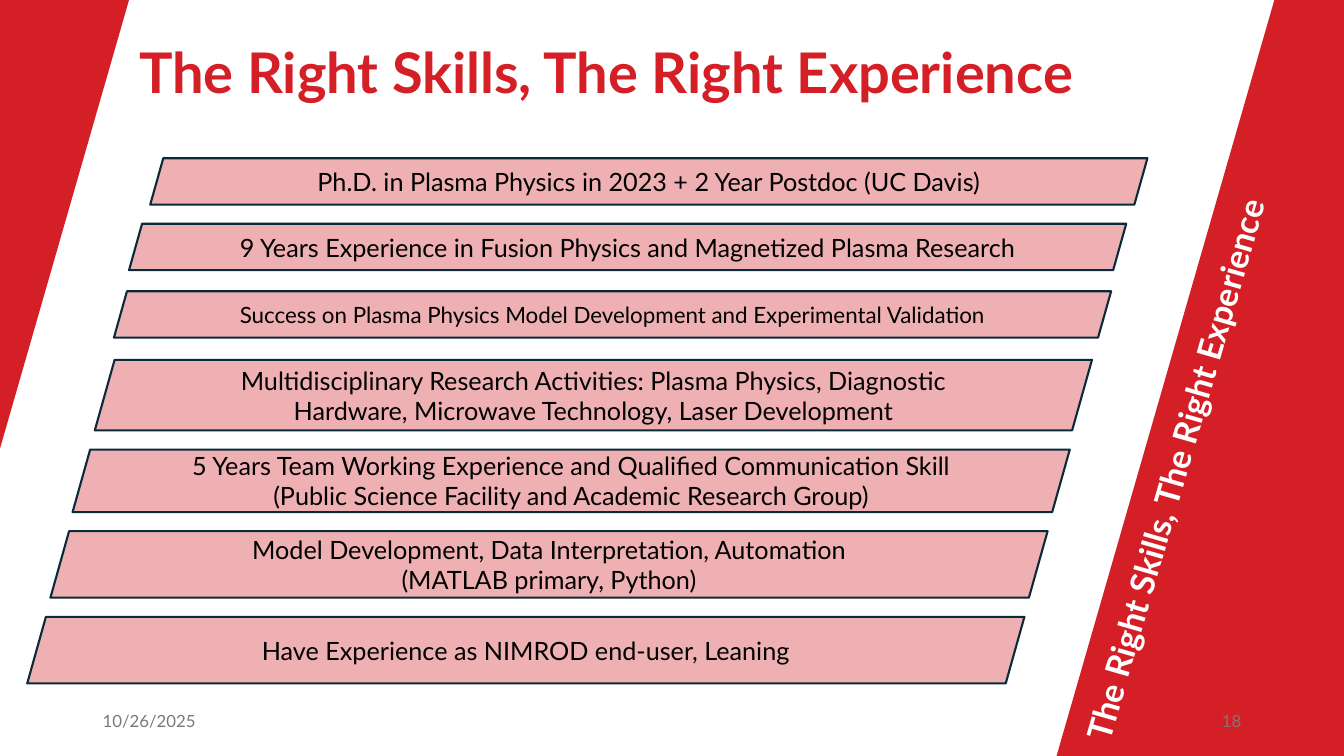
from dataclasses import dataclass

from lxml import etree
from pptx import Presentation
from pptx.dml.color import RGBColor
from pptx.enum.shapes import MSO_SHAPE
from pptx.enum.text import MSO_ANCHOR, PP_ALIGN
from pptx.oxml.ns import qn
from pptx.util import Inches, Pt

TRIANGLE = MSO_SHAPE.ISOSCELES_TRIANGLE
PARALLELOGRAM = MSO_SHAPE.PARALLELOGRAM
TOP, MIDDLE = MSO_ANCHOR.TOP, MSO_ANCHOR.MIDDLE
LEFT, CENTER, RIGHT = PP_ALIGN.LEFT, PP_ALIGN.CENTER, PP_ALIGN.RIGHT
TITLE_ONLY_LAYOUT = 5


@dataclass(frozen=True)
class Theme:
    font: str = "Lato"
    red: str = "D41F26"
    outline: str = "092A39"
    black: str = "000000"
    white: str = "FFFFFF"
    gray: str = "797979"
    title_size: int = 40
    side_size: int = 24
    body_size: int = 18
    small_size: int = 16
    footer_size: int = 12
    outline_width: float = 1.5
    bar_opacity: int = 35
    bar_slant: float = 0.281


THEME = Theme()
HEADLINE = "The Right Skills, The Right Experience"
BAR_WIDTH = 9.89

# Left, top, height, text size, paragraphs
SKILL_BARS = [
    (1.49, 1.57, 0.46, THEME.body_size,
     ["Ph.D. in Plasma Physics in 2023 + 2 Year Postdoc (UC Davis)"]),
    (1.28, 2.22, 0.46, THEME.body_size,
     ["9 Years Experience in Fusion Physics and Magnetized Plasma Research"]),
    (1.13, 2.89, 0.46, THEME.small_size,
     ["Success on Plasma Physics Model Development and Experimental Validation"]),
    (0.94, 3.57, 0.7, THEME.body_size,
     ["Multidisciplinary Research Activities: Plasma Physics, Diagnostic "
      "Hardware, Microwave Technology, Laser Development"]),
    (0.72, 4.46, 0.62, THEME.body_size,
     ["5 Years Team Working Experience and Qualified Communication Skill",
      "(Public Science Facility and Academic Research Group)"]),
    (0.5, 5.27, 0.66, THEME.body_size,
     ["Model Development, Data Interpretation, Automation",
      "(MATLAB primary, Python)"]),
    (0.27, 6.12, 0.66, THEME.body_size,
     ["Have Experience as NIMROD end-user, Leaning"]),
]


class SlideBuilder:
    def __init__(self, slide, theme):
        self.slide = slide
        self.theme = theme

    def fill_text(self, shape, lines, size, color, align=LEFT, anchor=TOP, bold=False):
        frame = shape.text_frame
        frame.word_wrap = True
        frame.vertical_anchor = anchor
        for index, line in enumerate(lines):
            paragraph = frame.add_paragraph() if index else frame.paragraphs[0]
            paragraph.alignment = align
            run = paragraph.add_run()
            run.text = line
            run.font.name = self.theme.font
            run.font.size = Pt(size)
            run.font.bold = bold
            run.font.color.rgb = RGBColor.from_string(color)

    def title(self, text, left, top, width, height):
        shape = self.slide.shapes.title
        shape.left, shape.top = Inches(left), Inches(top)
        shape.width, shape.height = Inches(width), Inches(height)
        self.fill_text(shape, [text], self.theme.title_size, self.theme.red, bold=True)

    def label(self, text, left, top, width, height, size, color, rotation=0, **style):
        shape = self.slide.shapes.add_textbox(
            Inches(left), Inches(top), Inches(width), Inches(height))
        shape.rotation = rotation
        self.fill_text(shape, [text], size, color, **style)

    def red_shape(self, kind, left, top, width, height, adjustment):
        shape = self.slide.shapes.add_shape(
            kind, Inches(left), Inches(top), Inches(width), Inches(height))
        shape.adjustments[0] = adjustment
        shape.shadow.inherit = False
        shape.fill.solid()
        shape.fill.fore_color.rgb = RGBColor.from_string(self.theme.red)
        return shape

    def corner(self, left, top, width, height, flip):
        shape = self.red_shape(TRIANGLE, left, top, width, height, 0)
        shape.line.fill.background()
        shape.element.spPr.find(qn("a:xfrm")).set(flip, "1")

    def skill_bar(self, left, top, height, size, lines):
        shape = self.red_shape(
            PARALLELOGRAM, left, top, BAR_WIDTH, height, self.theme.bar_slant)
        color = shape.element.spPr.find(qn("a:solidFill")).find(qn("a:srgbClr"))
        opacity = etree.SubElement(color, qn("a:alpha"))
        opacity.set("val", str(self.theme.bar_opacity * 1000))
        shape.line.color.rgb = RGBColor.from_string(self.theme.outline)
        shape.line.width = Pt(self.theme.outline_width)
        self.fill_text(shape, lines, size, self.theme.black, CENTER, MIDDLE)


def main():
    presentation = Presentation()
    presentation.slide_width = Inches(13.33)
    presentation.slide_height = Inches(7.5)
    slide = presentation.slides.add_slide(
        presentation.slide_layouts[TITLE_ONLY_LAYOUT])
    builder = SlideBuilder(slide, THEME)

    # Red corners
    builder.corner(0, 0, 1.28, 4.45, "flipV")
    builder.corner(10.48, -2.43, 2.86, 9.93, "flipH")

    # Headline, across the top and along the right edge
    builder.title(HEADLINE, 1.28, 0.32, 10.71, 0.77)
    builder.label(HEADLINE, 8.67, 4.27, 6.04, 0.5, THEME.side_size, THEME.white,
                  rotation=286.1, bold=True)

    # Skill bars
    for bar in SKILL_BARS:
        builder.skill_bar(*bar)

    # Date and slide number
    for text, left, align in [("10/26/2025", 0.92, LEFT), ("18", 9.41, RIGHT)]:
        builder.label(text, left, 6.95, 3, 0.4, THEME.footer_size, THEME.gray,
                      align=align, anchor=MIDDLE)

    presentation.save("out.pptx")


if __name__ == "__main__":
    main()
